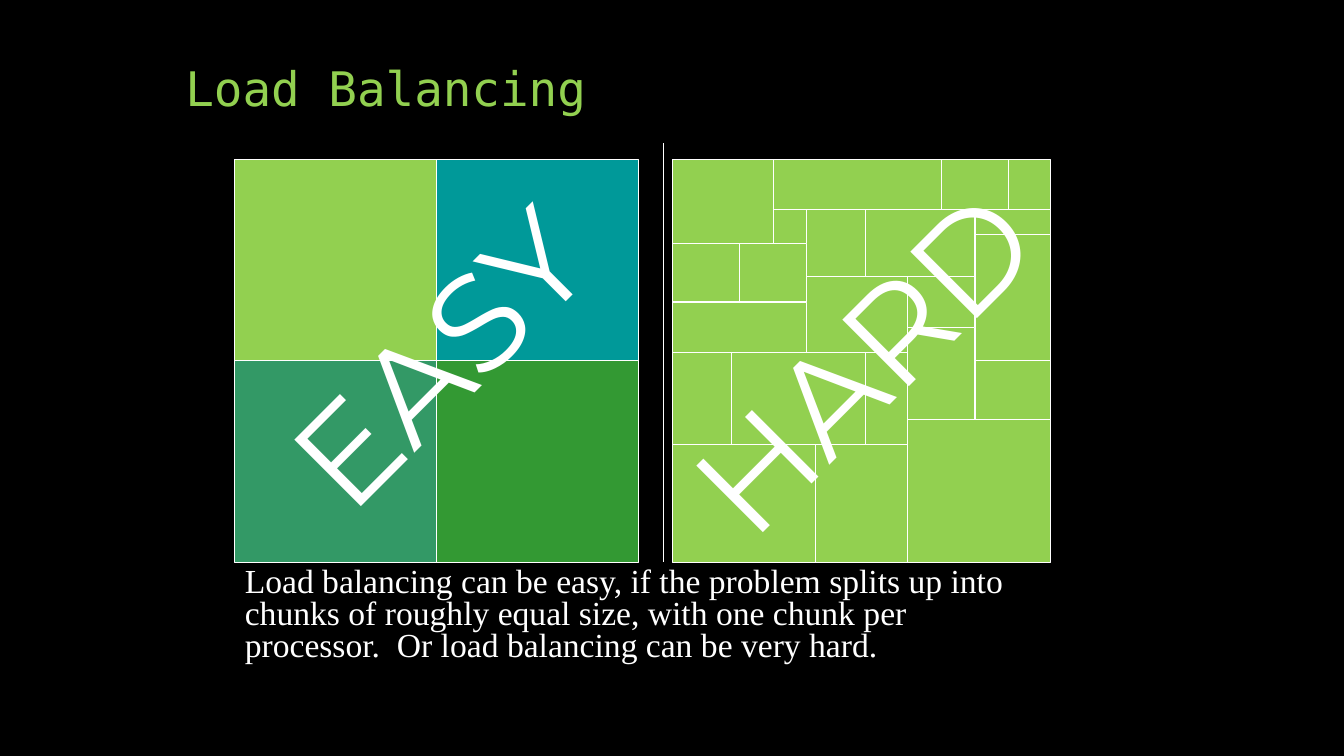
from lxml import etree
from pptx import Presentation
from pptx.dml.color import RGBColor
from pptx.enum.shapes import MSO_CONNECTOR, MSO_SHAPE
from pptx.enum.text import MSO_ANCHOR, PP_ALIGN
from pptx.oxml.ns import qn
from pptx.util import Inches, Pt

BLACK, WHITE, LIME = "000000", "FFFFFF", "92D050"

TITLE = "Load Balancing"
CAPTION = (
    "Load balancing can be easy, if the problem splits up into chunks of roughly "
    "equal size, with one chunk per processor.  Or load balancing can be very hard."
)
# Words laid diagonally across each half: text, left, top, width
LABELS = [("EASY", 2.17, 2.67, 4.33), ("HARD", 6.32, 2.71, 4.44)]

# Equal chunks, row by row
EASY_COLOURS = [[LIME, "009999"], ["339966", "339933"]]
EASY_LEFT, EASY_SIZE = 2.33, 2

# Uneven chunks in twelfths of an inch: column, row, width, height
HARD_CHUNKS = [
    (0, 0, 12, 10), (12, 0, 20, 6), (32, 0, 8, 6), (40, 0, 5, 6),
    (12, 6, 4, 4), (16, 6, 7, 8), (23, 6, 13, 8), (36, 6, 9, 3),
    (36, 9, 9, 15), (0, 10, 8, 7), (8, 10, 8, 7), (16, 14, 12, 9),
    (28, 14, 8, 6), (0, 17, 16, 6), (28, 20, 8, 11), (0, 23, 7, 11),
    (7, 23, 16, 11), (23, 23, 5, 11), (36, 24, 9, 7), (28, 31, 17, 17),
    (0, 34, 17, 14), (17, 34, 11, 14),
]
HARD_LEFT, UNIT = 6.67, 1 / 12
TOP = 1.58
DIVIDER_X, DIVIDER_TOP, DIVIDER_BOTTOM = 6.58, 1.42, 5.58


def colour(value):
    return RGBColor.from_string(value)


def add_chunk(page, left, top, width, height, fill):
    chunk = page.shapes.add_shape(
        MSO_SHAPE.RECTANGLE, Inches(left), Inches(top), Inches(width), Inches(height)
    )
    chunk.shadow.inherit = False
    chunk.fill.solid()
    chunk.fill.fore_color.rgb = colour(fill)
    chunk.line.color.rgb = colour(WHITE)
    chunk.line.width = Pt(0.75)


def add_text(page, text, left, top, width, height, font, size, ink=WHITE):
    box = page.shapes.add_textbox(
        Inches(left), Inches(top), Inches(width), Inches(height)
    )
    box.text_frame.word_wrap = True
    para = box.text_frame.paragraphs[0]
    para.text = text
    para.font.name = font
    para.font.size = Pt(size)
    para.font.color.rgb = colour(ink)
    return box, para


def add_divider(page):
    divider = page.shapes.add_connector(
        MSO_CONNECTOR.STRAIGHT,
        Inches(DIVIDER_X), Inches(DIVIDER_TOP),
        Inches(DIVIDER_X), Inches(DIVIDER_BOTTOM),
    )
    divider.line.color.rgb = colour(WHITE)
    divider.line.width = Pt(0.75)
    etree.SubElement(divider._element.spPr, qn("a:effectLst"))


def main():
    deck = Presentation()
    deck.slide_width, deck.slide_height = Inches(13.33), Inches(7.5)
    page = deck.slides.add_slide(deck.slide_layouts[6])
    page.background.fill.solid()
    page.background.fill.fore_color.rgb = colour(BLACK)

    box, para = add_text(
        page, TITLE, 1.74, 0.32, 9.93, 0.89, "DejaVu Sans Mono", 34, LIME
    )
    box.text_frame.vertical_anchor = MSO_ANCHOR.BOTTOM
    para.line_spacing = 0.9

    for row, fills in enumerate(EASY_COLOURS):
        for column, fill in enumerate(fills):
            add_chunk(page, EASY_LEFT + column * EASY_SIZE, TOP + row * EASY_SIZE,
                      EASY_SIZE, EASY_SIZE, fill)

    for column, row, width, height in HARD_CHUNKS:
        add_chunk(page, HARD_LEFT + column * UNIT, TOP + row * UNIT,
                  width * UNIT, height * UNIT, LIME)

    add_divider(page)

    box, para = add_text(
        page, CAPTION, 2.33, 5.58, 8.17, 1.07, "Times New Roman", 24
    )
    para.line_spacing = 0.8

    for text, left, top, width in LABELS:
        box, para = add_text(page, text, left, top, width, 1.7, "Montserrat", 96)
        box.rotation = 315
        para.alignment = PP_ALIGN.CENTER

    deck.save("out.pptx")


if __name__ == "__main__":
    main()
